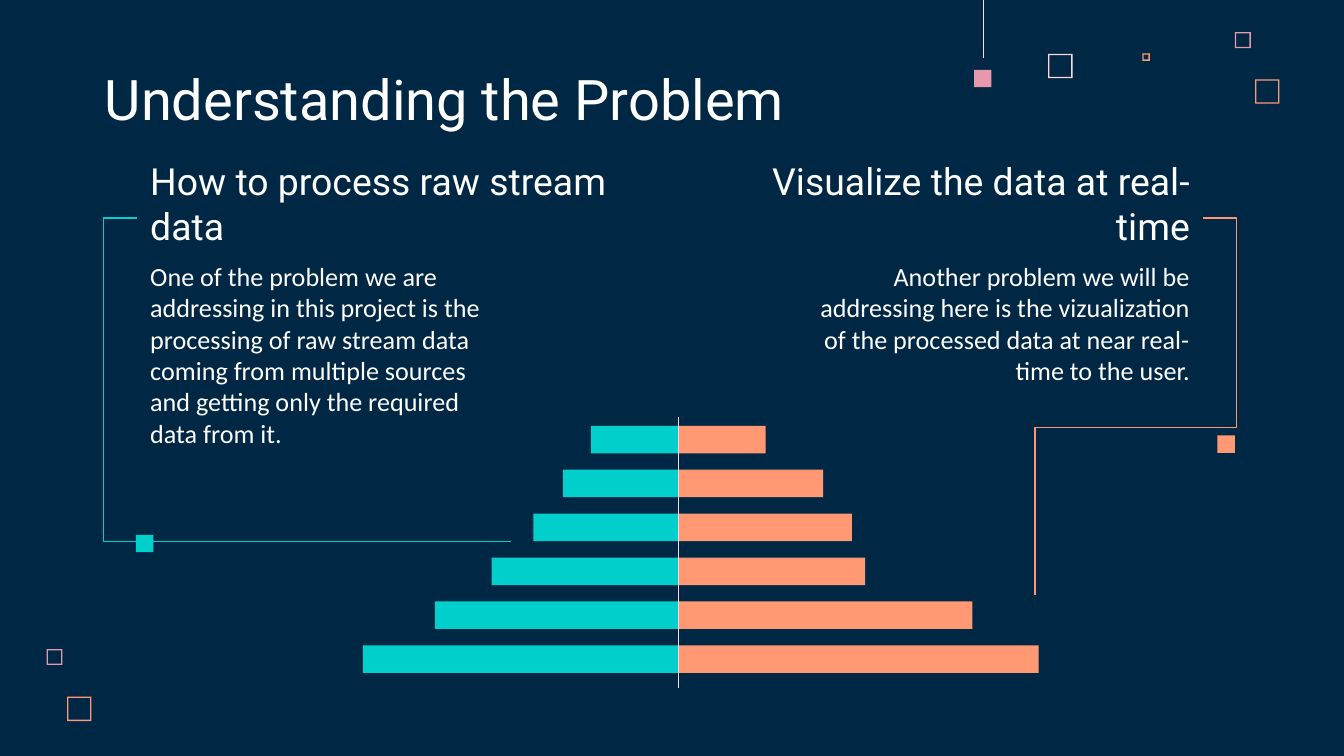
from lxml import etree
from pptx import Presentation
from pptx.dml.color import RGBColor
from pptx.enum.shapes import MSO_CONNECTOR, MSO_SHAPE
from pptx.enum.text import MSO_ANCHOR, MSO_AUTO_SIZE, PP_ALIGN
from pptx.oxml.ns import qn
from pptx.util import Cm, Pt

RECT, FRAME = MSO_SHAPE.RECTANGLE, MSO_SHAPE.FRAME
LINE, ELBOW = MSO_CONNECTOR.STRAIGHT, MSO_CONNECTOR.ELBOW
TOP, BOTTOM = MSO_ANCHOR.TOP, MSO_ANCHOR.BOTTOM
LEFT, RIGHT = PP_ALIGN.LEFT, PP_ALIGN.RIGHT
FIXED = MSO_AUTO_SIZE.NONE

NAVY, WHITE = "002845", "FFFFFF"
TEAL, CORAL = "00CFCC", "FF9973"
ROSE, BLUSH = "E898AC", "FFD6E1"

# Outlined squares: left, top, size, colour
RINGS = [
    (19.81, 1.02, 0.46, BLUSH),
    (23.34, 0.61, 0.3, ROSE),
    (21.59, 1.01, 0.14, CORAL),
    (23.72, 1.5, 0.46, CORAL),
    (0.88, 12.27, 0.3, ROSE),
    (1.27, 13.17, 0.46, CORAL),
]
# Solid squares: left, top, colour
DOTS = [(18.41, 1.32, ROSE), (2.57, 10.11, TEAL), (23.01, 8.23, CORAL)]
DOT = 0.33

# Bar lengths from top to bottom: left side, right side
BARS = [(1.65, 1.65), (2.18, 2.74), (2.74, 3.28),
        (3.53, 3.53), (4.6, 5.56), (5.96, 6.81)]
AXIS, FIRST, STEP, THICK = 12.82, 8.05, 0.83, 0.52


def paint(color, hue):
    color.rgb = RGBColor.from_string(hue)


def block(slide, kind, x, y, w, h, hue):
    shape = slide.shapes.add_shape(kind, Cm(x), Cm(y), Cm(w), Cm(h))
    shape.shadow.inherit = False
    shape.fill.solid()
    paint(shape.fill.fore_color, hue)
    shape.line.fill.background()
    return shape


def ring(slide, x, y, size, hue):
    shape = block(slide, FRAME, x, y, size, size, hue)
    shape.adjustments[0] = 0.025 / size


def link(slide, kind, start, end, hue, width=0.75):
    line = slide.shapes.add_connector(kind, *map(Cm, start + end))
    paint(line.line.color, hue)
    line.line.width = Pt(width)
    etree.SubElement(line._element.spPr, qn("a:effectLst"))
    return line


def bend(slide, start, end, hue, *turns):
    """Elbow line whose turns are given in thousandths of a percent."""
    line = link(slide, ELBOW, start, end, hue)
    geom = line._element.spPr.find(qn("a:prstGeom"))
    geom.set("prst", f"bentConnector{len(turns) + 2}")
    guides = geom.find(qn("a:avLst"))
    for i, turn in enumerate(turns, 1):
        etree.SubElement(guides, qn("a:gd"),
                         name=f"adj{i}", fmla=f"val {turn}")


def write(shape, box, text, size, font, anchor=TOP, align=LEFT):
    shape.left, shape.top, shape.width, shape.height = map(Cm, box)
    frame = shape.text_frame
    frame.word_wrap = True
    frame.auto_size = FIXED
    frame.vertical_anchor = anchor
    frame.margin_left = frame.margin_right = Cm(0.25)
    frame.margin_top = frame.margin_bottom = Cm(0.25)
    para = frame.paragraphs[0]
    para.alignment = align
    para.line_spacing = 1.0
    para.space_before = Pt(0)
    run = para.add_run()
    run.text = text
    run.font.size = Pt(size)
    run.font.name = font
    paint(run.font.color, WHITE)


def label(slide, box, *style):
    write(slide.shapes.add_textbox(*map(Cm, box)), box, *style)


def pyramid(slide):
    for i, (left, right) in enumerate(BARS):
        y = FIRST + i * STEP
        block(slide, RECT, AXIS, y, right, THICK, CORAL)
        block(slide, RECT, AXIS - left, y, left, THICK, TEAL)
    link(slide, LINE, (AXIS, 7.88), (AXIS, 13), BLUSH)


def main():
    deck = Presentation()
    deck.slide_width, deck.slide_height = Cm(25.4), Cm(14.29)
    slide = deck.slides.add_slide(deck.slide_layouts[5])
    slide.background.fill.solid()
    paint(slide.background.fill.fore_color, NAVY)

    # Corner decoration
    for item in RINGS:
        ring(slide, *item)
    link(slide, LINE, (18.59, 0), (18.59, 1.09), BLUSH, 0.5)

    # Title and the two problems
    write(slide.shapes.title, (1.73, 1.14, 17.09, 1.6),
          "Understanding the Problem", 30, "Roboto", BOTTOM)
    label(slide, (2.59, 3.33, 9.55, 1.6),
          "How to process raw stream data", 20, "Roboto", BOTTOM)
    label(slide, (2.59, 4.67, 7.29, 3.89),
          "One of the problem we are addressing in this project is the "
          "processing of raw stream data coming from multiple sources and "
          "getting only the required data from it.", 14, "Calibri")
    label(slide, (13.67, 3.33, 9.07, 1.6),
          "Visualize the data at real-time", 20, "Roboto", BOTTOM, RIGHT)
    label(slide, (15.14, 4.67, 7.6, 3.1),
          "Another problem we will be addressing here is the vizualization "
          "of the processed data at near real-time to the user.",
          14, "Calibri", TOP, RIGHT)

    # Bars and the lines that lead to them
    pyramid(slide)
    bend(slide, (2.59, 4.12), (9.65, 10.24), TEAL, -9000)
    bend(slide, (22.74, 4.12), (19.56, 11.24), CORAL, -19900, 55600)
    for x, y, hue in DOTS:
        block(slide, RECT, x, y, DOT, DOT, hue)

    deck.save("out.pptx")


if __name__ == "__main__":
    main()
